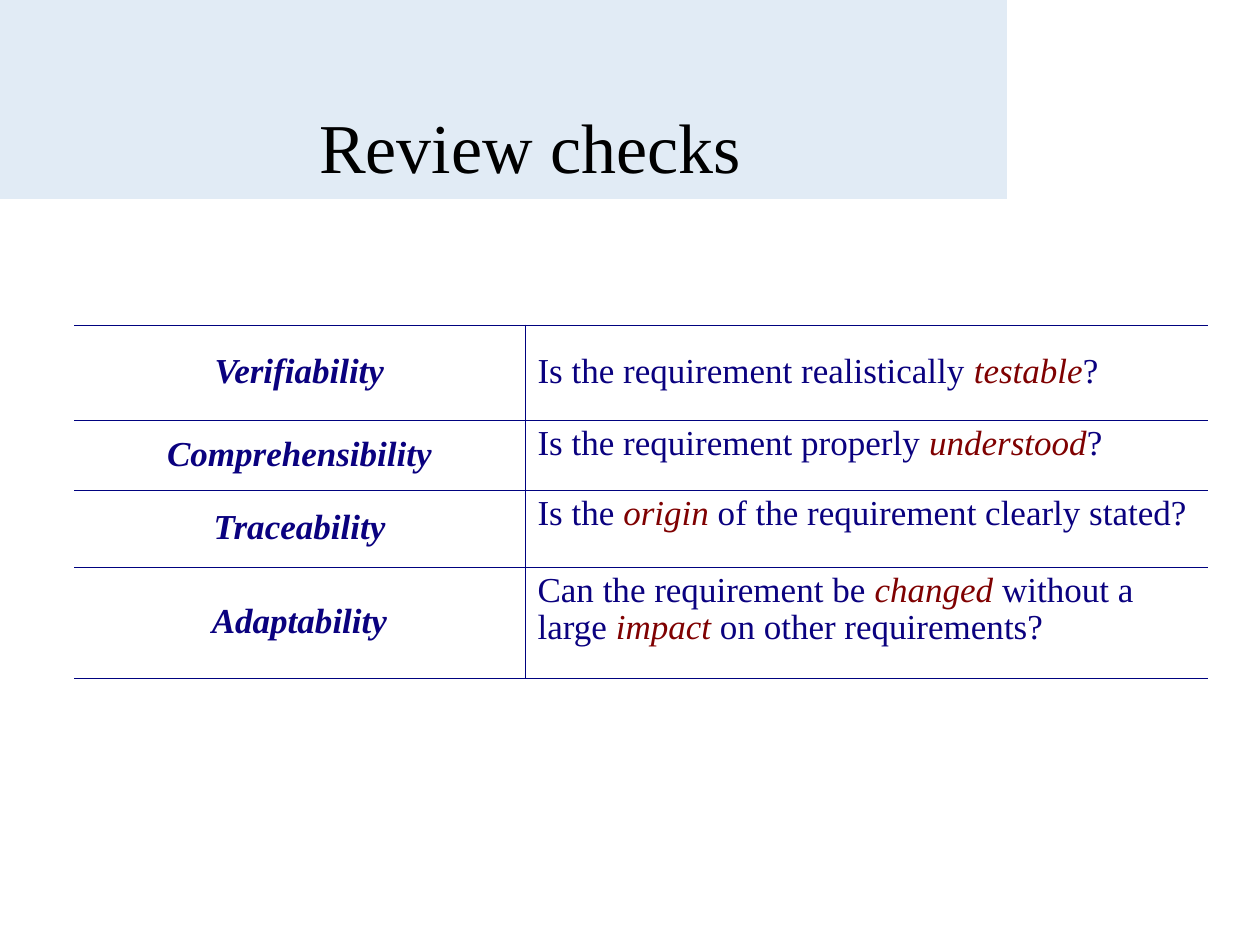
from dataclasses import dataclass

from lxml import etree
from pptx import Presentation
from pptx.dml.color import RGBColor
from pptx.enum.shapes import MSO_SHAPE
from pptx.enum.text import MSO_ANCHOR, PP_ALIGN
from pptx.oxml.ns import qn
from pptx.util import Emu, Pt

RECT = MSO_SHAPE.RECTANGLE
MIDDLE, TOP = MSO_ANCHOR.MIDDLE, MSO_ANCHOR.TOP
CENTER, LEFT = PP_ALIGN.CENTER, PP_ALIGN.LEFT
SCALE = 914400 / 126

CHECKS = [
    ("Verifiability", "Is the requirement realistically *testable*?", 95, MIDDLE),
    ("Comprehensibility", "Is the requirement properly *understood*?", 70, TOP),
    ("Traceability", "Is the *origin* of the requirement clearly stated?", 77, TOP),
    ("Adaptability", "Can the requirement be *changed* without a large *impact* on other requirements?", 111, TOP),
]


@dataclass(frozen=True)
class Theme:
    """Colours, type sizes and line width of the slide."""
    font: str = "Times New Roman"
    band: str = "E1EBF5"
    title: str = "000000"
    text: str = "0A017F"
    accent: str = "7F0101"
    rule: str = "00027F"
    large: int = 40
    body: int = 20
    line: float = 0.45


def px(size):
    """Turn px into EMU."""
    return Emu(round(size * SCALE))


class Board:
    """Draws styled elements on the current slide."""

    def __init__(self, theme, slide):
        """Keep the theme and the slide."""
        self.theme, self.slide = theme, slide

    def style(self, run, size, color, bold=False, italic=False):
        """Format one run."""
        font = run.font
        font.name, font.size = self.theme.font, Pt(size)
        font.bold, font.italic = bold, italic
        font.color.rgb = RGBColor.from_string(color)

    def band(self, *box):
        """Add the plain band behind the title."""
        shape = self.slide.shapes.add_shape(RECT, *map(px, box))
        shape.shadow.inherit = False
        shape.fill.solid()
        shape.fill.fore_color.rgb = RGBColor.from_string(self.theme.band)
        shape.line.fill.background()
        tree = self.slide.shapes.title.element.getparent()
        tree.insert(2, shape.element)

    def title(self, text, *box):
        """Fill and place the title."""
        shape = self.slide.shapes.title
        shape.left, shape.top, shape.width, shape.height = map(px, box)
        frame = shape.text_frame
        frame.text, frame.vertical_anchor = text, MIDDLE
        para = frame.paragraphs[0]
        para.alignment = CENTER
        self.style(para.runs[0], self.theme.large, self.theme.title)

    def border(self, cell, shown):
        """Draw the shown sides of a cell and hide the rest."""
        props = cell._tc.get_or_add_tcPr()
        for side in "LRTB":
            line = etree.SubElement(props, qn(f"a:ln{side}"), w=str(Pt(self.theme.line)))
            if side in shown:
                fill = etree.SubElement(line, qn("a:solidFill"))
                etree.SubElement(fill, qn("a:srgbClr"), val=self.theme.rule)
            else:
                etree.SubElement(line, qn("a:noFill"))

    def cell(self, cell, text, label, anchor):
        """Write a label or a question whose starred words stand out."""
        self.border(cell, "RTB" if label else "LTB")
        cell.fill.background()
        cell.vertical_anchor = anchor
        para = cell.text_frame.paragraphs[0]
        para.alignment = CENTER if label else LEFT
        para.line_spacing = 0.95
        for i, part in enumerate(text.split("*")):
            run = para.add_run()
            run.text = part
            strong = i % 2 == 1
            color = self.theme.accent if strong else self.theme.text
            self.style(run, self.theme.body, color, label, label or strong)

    def table(self, checks, left, top, widths):
        """Add the table of review checks."""
        high = sum(check[2] for check in checks)
        box = map(px, (left, top, sum(widths), high))
        table = self.slide.shapes.add_table(len(checks), len(widths), *box).table
        table.first_row = table.horz_banding = False
        for col, width in zip(table.columns, widths):
            col.width = px(width)
        for i, (name, ask, height, anchor) in enumerate(checks):
            table.rows[i].height = px(height)
            self.cell(table.cell(i, 0), name, True, MIDDLE)
            self.cell(table.cell(i, 1), ask, False, anchor)


def main():
    """Build and save the slide."""
    deck = Presentation()
    deck.slide_width, deck.slide_height = px(1260), px(945)
    board = Board(Theme(), deck.slides.add_slide(deck.slide_layouts[5]))
    board.band(0, 0, 1007, 199)
    board.title("Review checks", 74, 90, 912, 112)
    board.table(CHECKS, 74, 325, (451, 683))
    deck.save("out.pptx")


if __name__ == "__main__":
    main()
